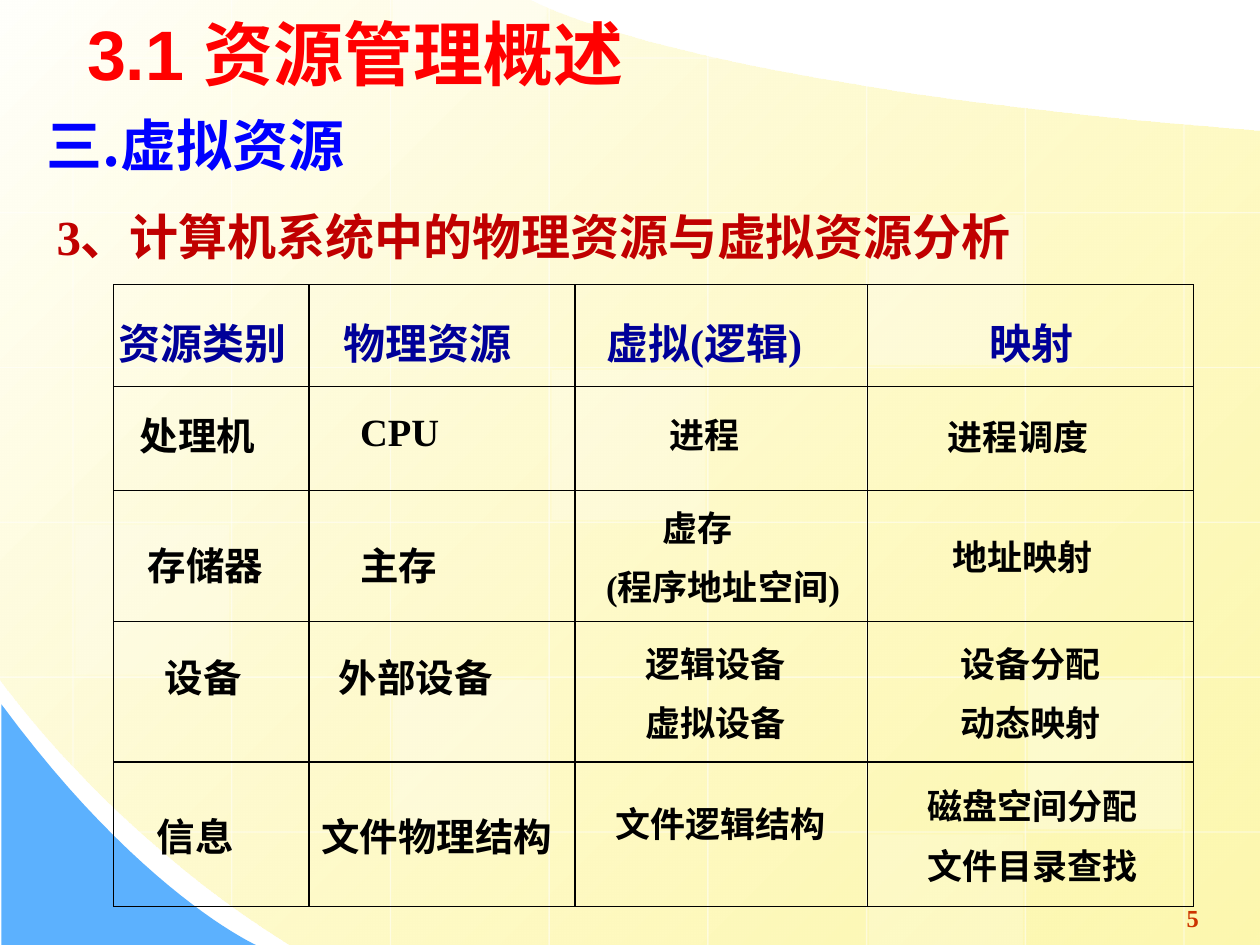
from dataclasses import dataclass

from lxml import etree
from pptx import Presentation
from pptx.dml.color import RGBColor
from pptx.enum.shapes import MSO_CONNECTOR, MSO_SHAPE
from pptx.enum.text import MSO_ANCHOR, PP_ALIGN
from pptx.oxml.ns import qn
from pptx.util import Cm, Pt

RECTANGLE = MSO_SHAPE.RECTANGLE
STRAIGHT = MSO_CONNECTOR.STRAIGHT
MIDDLE = MSO_ANCHOR.MIDDLE
LEFT = PP_ALIGN.LEFT
WIDTH, HEIGHT = 25.4, 19.05


@dataclass(frozen=True)
class Theme:
    """Colours, fonts and type sizes of the slide."""
    title: str = "FF0000"
    section: str = "0000FF"
    topic: str = "C00000"
    header: str = "000099"
    ink: str = "000000"
    number: str = "CC3300"
    white: str = "FFFFFF"
    glow_start: str = "FFFFFB"
    glow_end: str = "FDF58D"
    corner: str = "5CB1FE"
    sans: str = "Arial"
    serif: str = "Times New Roman"
    cjk: str = "Noto Sans CJK SC"
    title_size: int = 40
    section_size: int = 32
    topic_size: int = 28
    header_size: int = 24
    label_size: int = 22
    detail_size: int = 20
    number_size: int = 14
    hairline: float = 0.75


@dataclass(frozen=True)
class Entry:
    """One table entry: its lines, indents and vertical shift in cm."""
    text: str
    indent: float
    drop: float = 0
    first_indent: float = 0


THEME = Theme()
COLUMNS = (3.94, 5.36, 5.89, 6.58)
ROWS = (2.06, 2.08, 2.64, 2.84, 2.92)
RESOURCES = (
    (Entry("资源类别", 0.1, 0.1), Entry("物理资源", 0.7, 0.1),
     Entry("虚拟(逻辑)", 0.63, 0.1), Entry("映射", 2.47, 0.1)),
    (Entry("处理机", 0.53, -0.1), Entry("CPU", 1.03, -0.1),
     Entry("进程", 1.9, -0.1), Entry("进程调度", 1.63, -0.06)),
    (Entry("存储器", 0.69, 0.16), Entry("主存", 1.03, 0.16),
     Entry("虚存\n(程序地址空间)", 0.63, 0, 1.13), Entry("地址映射", 1.72)),
    (Entry("设备", 1.03, -0.32), Entry("外部设备", 0.6, -0.32),
     Entry("逻辑设备\n虚拟设备", 1.42), Entry("设备分配\n动态映射", 1.88)),
    (Entry("信息", 0.87), Entry("文件物理结构", 0.25),
     Entry("文件逻辑结构", 0.82, -0.25), Entry("磁盘空间分配\n文件目录查找", 1.21)),
)


def rgb(colour):
    """Turn a hex string into a colour."""
    return RGBColor.from_string(colour)


def set_opacity(colour_element, percent):
    """Make a colour element partly transparent."""
    etree.SubElement(colour_element, qn("a:alpha"), val=str(percent * 1000))


def write(paragraph, text, size, colour, font):
    """Add one bold run to a paragraph."""
    run = paragraph.add_run()
    run.text = text
    run.font.size = Pt(size)
    run.font.bold = True
    run.font.name = font
    run.font.color.rgb = rgb(colour)
    latin = run._r.rPr.find(qn("a:latin"))
    latin.addnext(latin.makeelement(qn("a:ea"), typeface=THEME.cjk))


def add_heading(slide, box, text, size, colour, font, spacing=1.0):
    """Place one line of text in the given box."""
    frame = slide.shapes.add_textbox(*map(Cm, box)).text_frame
    frame.word_wrap = True
    frame.paragraphs[0].line_spacing = spacing
    write(frame.paragraphs[0], text, size, colour, font)


def add_title(slide, box, text):
    """Move and format the title placeholder, in front of the backdrop."""
    title = slide.shapes.title
    title.left, title.top, title.width, title.height = map(Cm, box)
    title.text_frame.vertical_anchor = MIDDLE
    title.text_frame.paragraphs[0].alignment = LEFT
    write(title.text_frame.paragraphs[0], text, THEME.title_size, THEME.title, THEME.sans)
    slide.shapes._spTree.append(title._element)


def curve(start, control_1, control_2, end, steps=24):
    """Return points along a cubic curve, without its start."""
    points = []
    for step in range(1, steps + 1):
        t = step / steps
        weights = ((1 - t) ** 3, 3 * t * (1 - t) ** 2, 3 * t ** 2 * (1 - t), t ** 3)
        points.append(tuple(
            sum(w * p[axis] for w, p in zip(weights, (start, control_1, control_2, end)))
            for axis in (0, 1)))
    return points


def add_outline(slide, points):
    """Draw a closed outline without a line."""
    corners = [(Cm(x), Cm(y)) for x, y in points]
    builder = slide.shapes.build_freeform(*corners[0])
    builder.add_line_segments(corners[1:])
    outline = builder.convert_to_shape()
    outline.shadow.inherit = False
    outline.line.fill.background()
    return outline


def add_grid_line(slide, x1, y1, x2, y2):
    """Draw one faint white line of the backdrop."""
    line = slide.shapes.add_connector(STRAIGHT, *map(Cm, (x1, y1, x2, y2)))
    line.line.width = Pt(THEME.hairline)
    line.line.color.rgb = rgb(THEME.white)
    properties = line._element.spPr
    set_opacity(next(properties.iter(qn("a:srgbClr"))), 50)
    etree.SubElement(properties, qn("a:effectLst"))


def add_backdrop(slide, width, height):
    """Draw the yellow sweep, the blue corner and the faint grid."""
    sweep = add_outline(slide, [
        (width, 2.64), (width, height), (5.84, height),
        *curve((5.84, height), (2.18, 16.79), (0, 13.69), (0, 13.69)), (0, 0), (10.69, 0),
        *curve((10.69, 0), (10.69, 0), (13.64, 1.75), (width, 2.64))])
    sweep.fill.gradient()
    sweep.fill.gradient_angle = 315
    stops = sweep.fill.gradient_stops
    for stop, position, colour in zip(stops, (0, 1), (THEME.glow_start, THEME.glow_end)):
        stop.position = position
        stop.color.rgb = rgb(colour)
    set_opacity(list(sweep._element.spPr.iter(qn("a:srgbClr")))[1], 70)

    corner = add_outline(slide, [
        (0.03, 14.2), (0.03, height), (5.16, height),
        *curve((5.16, height), (5.16, height), (2.84, 18.01), (0.03, 14.2))])
    corner.fill.solid()
    corner.fill.fore_color.rgb = rgb(THEME.corner)

    left, top, step_x, step_y = 1.47, 1.17, 3.2, 3.12
    tops = (0, 0, 0, 0, 1.09, 1.73, 2.16, 2.49)
    bottoms = (15.47, 18.26) + (height,) * 6
    for column, (y1, y2) in enumerate(zip(tops, bottoms)):
        x = left + column * step_x
        add_grid_line(slide, x, y1, x, y2)
    spans = ((0, 14.43),) + ((0, width),) * 4 + ((2.82, width),)
    for row, (x1, x2) in enumerate(spans):
        y = top + row * step_y
        add_grid_line(slide, x1, y, x2, y)

    gap = 0.05
    for column, row, opacity in ((3, 2, 25), (6, 4, 30), (0, 3, 20), (5, 5, 20),
                                 (2, -1, 40), (2, 4, 30), (5, 1, 30)):
        y1 = max(0, top + row * step_y + gap)
        y2 = min(height, top + (row + 1) * step_y - gap)
        pane = slide.shapes.add_shape(RECTANGLE, Cm(left + column * step_x + gap), Cm(y1),
                                      Cm(step_x - 2 * gap), Cm(y2 - y1))
        pane.shadow.inherit = False
        pane.line.fill.background()
        pane.fill.solid()
        pane.fill.fore_color.rgb = rgb(THEME.white)
        set_opacity(next(pane._element.spPr.iter(qn("a:srgbClr"))), opacity)


def fill_cell(cell, entry, size, colour):
    """Write an entry into a clear cell with thin borders."""
    cell.vertical_anchor = MIDDLE
    cell.margin_left = cell.margin_right = 0
    cell.margin_top = Cm(max(0, 2 * entry.drop))
    cell.margin_bottom = Cm(max(0, -2 * entry.drop))
    properties = cell._tc.get_or_add_tcPr()
    for side in ("a:lnL", "a:lnR", "a:lnT", "a:lnB"):
        border = etree.SubElement(properties, qn(side), w=str(Pt(THEME.hairline)))
        paint = etree.SubElement(border, qn("a:solidFill"))
        etree.SubElement(paint, qn("a:srgbClr"), val=THEME.ink)
    cell.fill.background()
    for number, text in enumerate(entry.text.split("\n")):
        paragraph = cell.text_frame.add_paragraph() if number else cell.text_frame.paragraphs[0]
        margins = paragraph._p.get_or_add_pPr()
        margins.set("marL", str(Cm(entry.indent)))
        margins.set("indent", str(0 if number else Cm(entry.first_indent)))
        if number:
            paragraph.space_before = Pt(5)
        write(paragraph, text, size, colour, THEME.serif)


def add_resource_table(slide, left, top):
    """Build the table of physical and virtual resources."""
    table = slide.shapes.add_table(len(ROWS), len(COLUMNS), Cm(left), Cm(top),
                                   Cm(sum(COLUMNS)), Cm(sum(ROWS))).table
    table.horz_banding = False
    for column, width in zip(table.columns, COLUMNS):
        column.width = Cm(width)
    for index, (row, height) in enumerate(zip(table.rows, ROWS)):
        row.height = Cm(height)
        for column, (cell, entry) in enumerate(zip(row.cells, RESOURCES[index])):
            body_size = THEME.label_size if column < 2 else THEME.detail_size
            fill_cell(cell, entry, body_size if index else THEME.header_size,
                      THEME.ink if index else THEME.header)


def main():
    """Build the slide and save it."""
    deck = Presentation()
    deck.slide_width, deck.slide_height = Cm(WIDTH), Cm(HEIGHT)
    slide = deck.slides.add_slide(deck.slide_layouts[5])
    add_backdrop(slide, WIDTH, HEIGHT)
    add_heading(slide, (23.67, 18.08, 1.04, 0.86), "5", THEME.number_size,
                THEME.number, THEME.serif)
    add_resource_table(slide, 2.29, 5.74)
    add_heading(slide, (0.89, 3.68, 21.62, 1.8), "3、计算机系统中的物理资源与虚拟资源分析",
                THEME.topic_size, THEME.topic, THEME.serif, 1.3)
    add_title(slide, (1.5, 0, 22.86, 2.13), "3.1 资源管理概述")
    add_heading(slide, (0.69, 2.11, 14.2, 1.63), "三.虚拟资源", THEME.section_size,
                THEME.section, THEME.cjk)
    deck.save("out.pptx")


if __name__ == "__main__":
    main()
